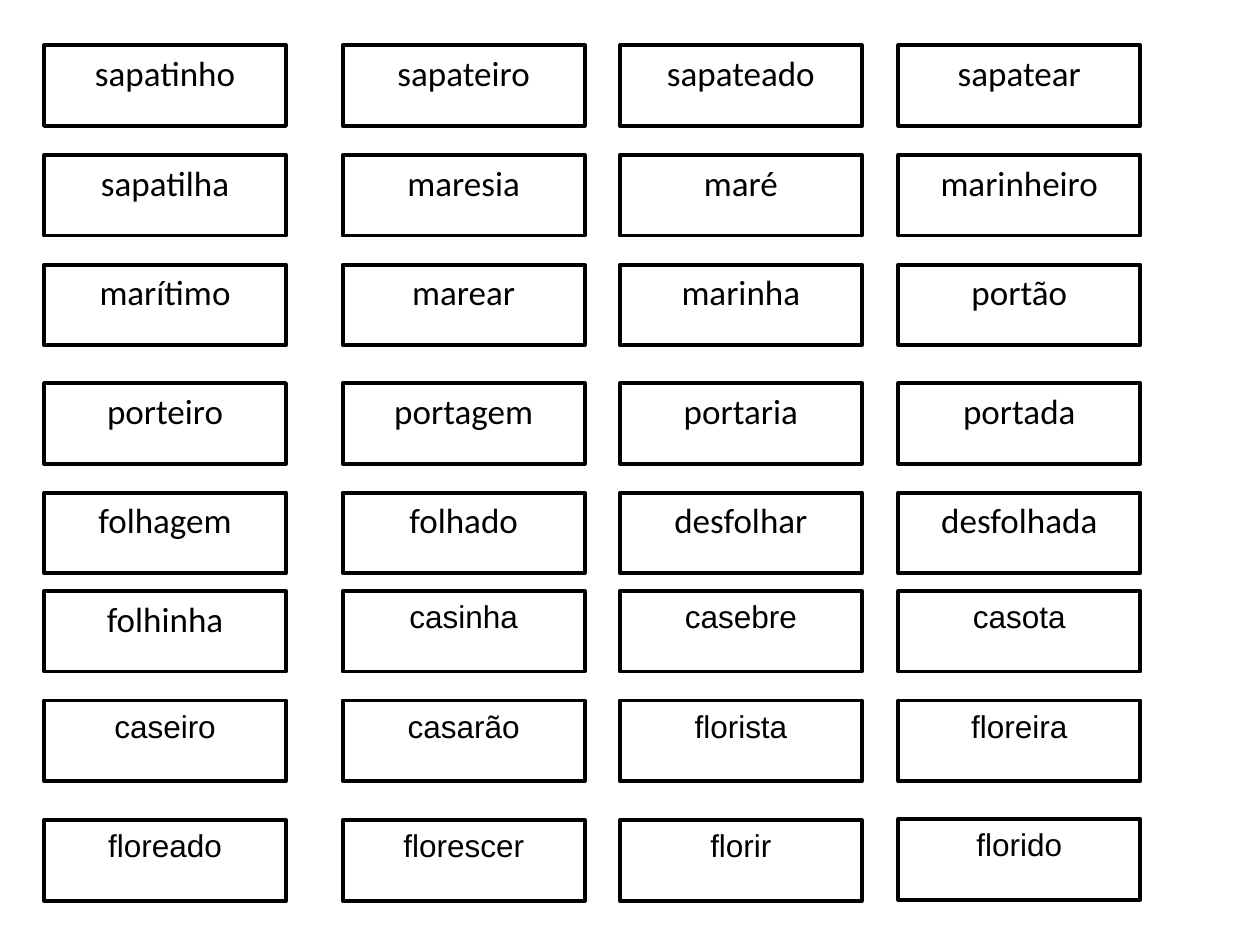
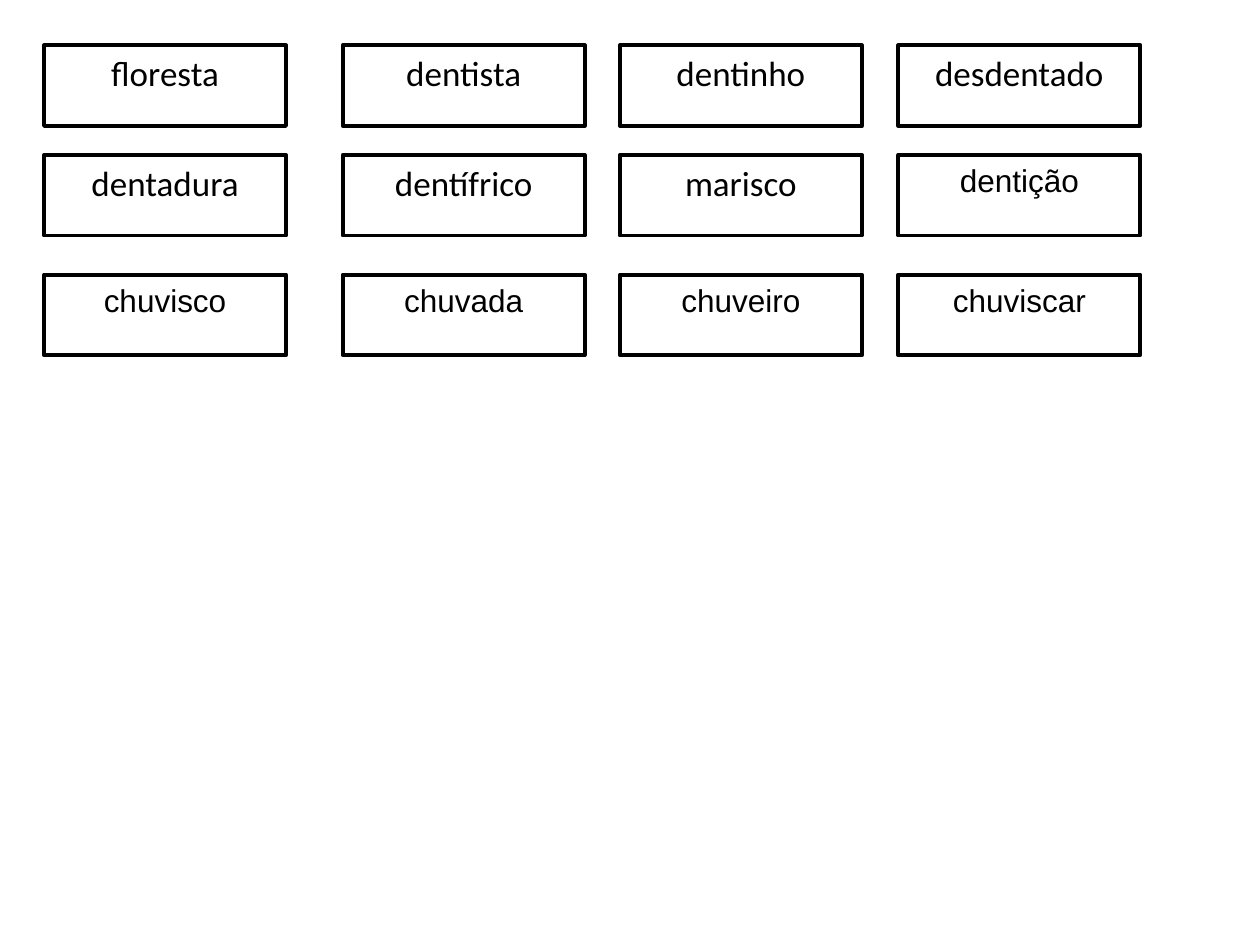
from pptx import Presentation
from pptx.dml.color import RGBColor
from pptx.enum import shapes, text
from pptx.util import Pt

COLORS = {"card": "FFFFFF", "ink": "000000"}
ROUNDED = ("Calibri", 20)
PLAIN = ("Arial", 18)

# Each row: top edge in points, then its words.
# "plain_from" is the first word set in the plain style; all later ones follow it.
SLIDES = [
    {
        "plain_from": "casinha",
        "rows": [
            (25.92, ["sapatinho", "sapateiro", "sapateado", "sapatear"]),
            (88.56, ["sapatilha", "maresia", "maré", "marinheiro"]),
            (151.2, ["marítimo", "marear", "marinha", "portão"]),
            (218.88, ["porteiro", "portagem", "portaria", "portada"]),
            (281.52, ["folhagem", "folhado", "desfolhar", "desfolhada"]),
            (337.68, ["folhinha", "casinha", "casebre", "casota"]),
            (400.32, ["caseiro", "casarão", "florista", "floreira"]),
            (468.72, ["floreado", "florescer", "florir", "florido"]),
        ],
    },
    {
        "plain_from": "dentição",
        "rows": [
            (25.92, ["floresta", "dentista", "dentinho", "desdentado"]),
            (88.56, ["dentadura", "dentífrico", "marisco", "dentição"]),
            (156.96, ["chuvisco", "chuvada", "chuveiro", "chuviscar"]),
        ],
    },
]
COLUMN_LEFTS = [25.2, 195.84, 354.24, 513.36]
CARD_WIDTH, CARD_HEIGHT = 138.24, 46.08
NUDGE = {"florido": -0.72}  # vertical shift of a single card


def color(name):
    return RGBColor.from_string(COLORS[name])


def add_card(s, word, left, top, style):
    sp = s.shapes.add_shape(shapes.MSO_SHAPE.RECTANGLE, Pt(left), Pt(top),
                            Pt(CARD_WIDTH), Pt(CARD_HEIGHT))
    sp.shadow.inherit = False
    sp.fill.solid()
    sp.fill.fore_color.rgb = color("card")
    sp.line.color.rgb = color("ink")
    sp.line.width = Pt(2.25)
    tf = sp.text_frame
    tf.word_wrap = True
    tf.vertical_anchor = text.MSO_ANCHOR.TOP
    p = tf.paragraphs[0]
    p.text = word
    p.alignment = text.PP_ALIGN.CENTER
    p.space_after = Pt(10)
    p.font.name, size = style
    p.font.size = Pt(size)
    p.font.color.rgb = color("ink")


def main():
    prs = Presentation()
    prs.slide_width, prs.slide_height = Pt(720), Pt(540)
    for sheet in SLIDES:
        s = prs.slides.add_slide(prs.slide_layouts[6])
        style = ROUNDED
        for top, words in sheet["rows"]:
            for left, word in zip(COLUMN_LEFTS, words):
                if word == sheet["plain_from"]:
                    style = PLAIN
                add_card(s, word, left, top + NUDGE.get(word, 0), style)
    prs.save("out.pptx")


if __name__ == "__main__":
    main()
